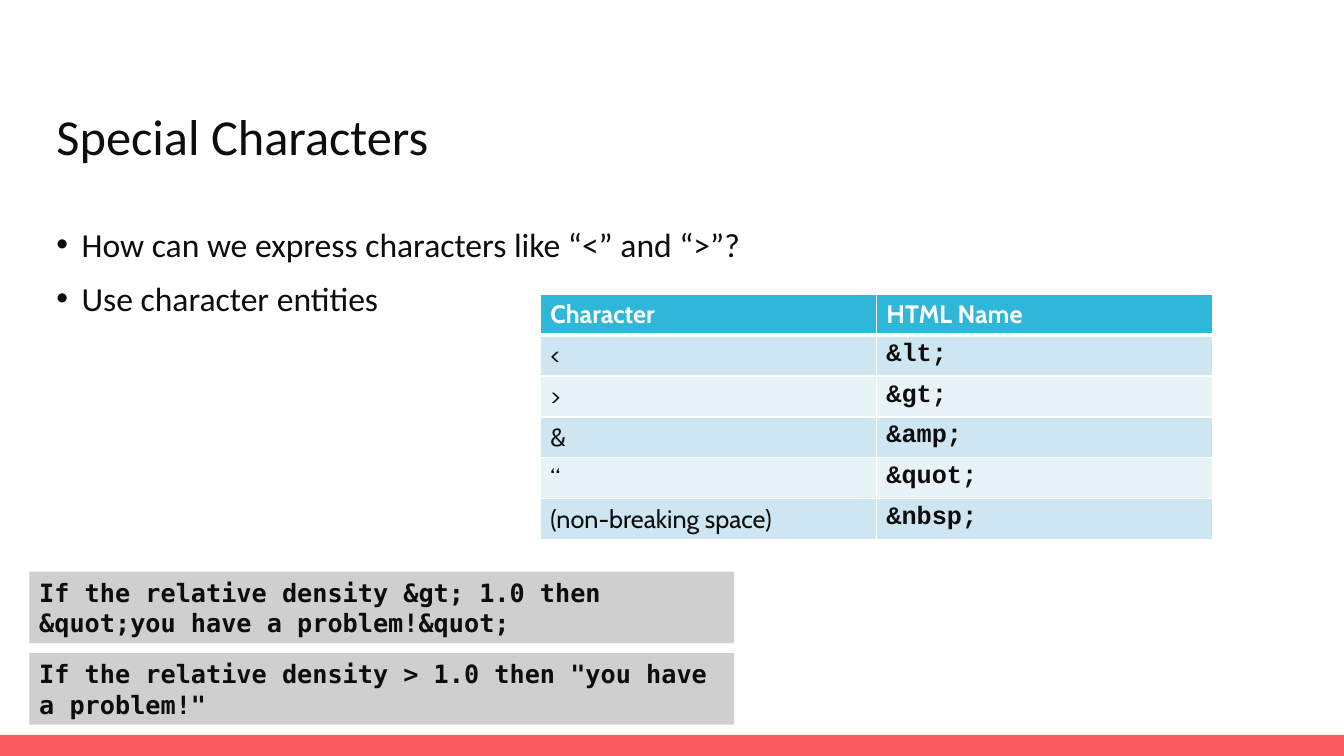
"""Build the slide on special characters and their HTML names."""
import pptx
import pptx.util
import pptx.dml.color
import pptx.enum.shapes
import pptx.enum.text
import pptx.oxml
import pptx.oxml.ns

INK, WHITE, GREY = "0D0D0D", "FFFFFF", "CFCFCF"
RED, TEAL, BANDS = "FC5B61", "2FB7DA", ("E8F3F8", "CDE6F1")
Pt = pptx.util.Pt
RECT = pptx.enum.shapes.MSO_SHAPE.RECTANGLE
LEFT = pptx.enum.text.PP_ALIGN.LEFT
ANCHOR = pptx.enum.text.MSO_ANCHOR

deck = pptx.Presentation()
deck.slide_width = pptx.util.Inches(13.33)
deck.slide_height = pptx.util.Inches(7.5)
slide = deck.slides.add_slide(deck.slide_layouts[1])
shapes = slide.shapes


def area(left, top, width, height):
    """Turn percentages of the slide into a box."""
    wide, high = deck.slide_width / 100, deck.slide_height / 100
    return [int(n) for n in (left * wide, top * high, width * wide, height * high)]


def paint(item, shade):
    """Give a fill or a font a solid colour."""
    if hasattr(item, "solid"):
        item.solid()
        item.fore_color.rgb = pptx.dml.color.RGBColor.from_string(shade)
    else:
        item.color.rgb = pptx.dml.color.RGBColor.from_string(shade)


title, body = shapes.title, slide.placeholders[1]
title.text_frame.text = "Special Characters"
body.text_frame.text = "How can we express characters like “<” and “>”?\nUse character entities"
for holder, box, size in (
    (title, (4.2, 14.13, 91.6, 10.53), 36),
    (body, (4.2, 28.93, 91.6, 63.07), 24),
):
    holder.left, holder.top, holder.width, holder.height = area(*box)
    frame = holder.text_frame
    frame.auto_size = pptx.enum.text.MSO_AUTO_SIZE.NONE
    frame.vertical_anchor = ANCHOR.TOP
    frame.margin_left = frame.margin_right = 0
    for row, para in enumerate(frame.paragraphs):
        para.alignment = LEFT
        para.space_before = Pt(10 * row)
        if holder is body:
            props = para._p.get_or_add_pPr()
            props.set("marL", str(Pt(18)))
            props.set("indent", str(-Pt(18)))
        para.font.name, para.font.size = "Calibri", Pt(size)
        paint(para.font, INK)
title.text_frame.paragraphs[0].line_spacing = 0.9

codes = (
    "If the relative density &gt; 1.0 then &quot;you have a problem!&quot;",
    'If the relative density > 1.0 then "you have a problem!"',
)
panels = [((0, 97.2, 100, 2.8), RED, "")]
panels += [((2.18, 75.6 + 10.8 * n, 52.44, 9.47), GREY, code) for n, code in enumerate(codes)]
for box, shade, text in panels:
    panel = shapes.add_shape(RECT, *area(*box))
    panel.shadow.inherit = False
    panel.line.fill.background()
    paint(panel.fill, shade)
    if text:
        frame = panel.text_frame
        frame.word_wrap = True
        frame.vertical_anchor = ANCHOR.MIDDLE
        frame.text = text
        para = frame.paragraphs[0]
        para.alignment = LEFT
        para.font.name, para.font.size, para.font.bold = "DejaVu Sans Mono", Pt(18), True
        paint(para.font, INK)

rows = (
    ("Character", "HTML Name"),
    ("<", "&lt;"),
    (">", "&gt;"),
    ("&", "&amp;"),
    ("“", "&quot;"),
    ("(non-breaking space)", "&nbsp;"),
)
table = shapes.add_table(len(rows), 2, *area(40.21, 38.93, 50, 32.4)).table
for r, row in enumerate(rows):
    for c, text in enumerate(row):
        cell = table.cell(r, c)
        cell.text = text
        paint(cell.fill, BANDS[r % 2] if r else TEAL)
        font = cell.text_frame.paragraphs[0].font
        font.name = "Courier New" if r and c else "Cabin"
        font.size, font.bold = Pt(18), r == 0 or c == 1
        paint(font, INK if r else WHITE)
        for n, side in enumerate("LRTB"):
            thick = 3 if (r, side) in ((0, "B"), (1, "T")) else 1
            edge = pptx.oxml.parse_xml(
                f'<a:ln{side} {pptx.oxml.ns.nsdecls("a")} w="{Pt(thick)}">'
                f'<a:solidFill><a:srgbClr val="{WHITE}"/></a:solidFill></a:ln{side}>'
            )
            cell._tc.get_or_add_tcPr().insert(n, edge)

deck.save("out.pptx")
